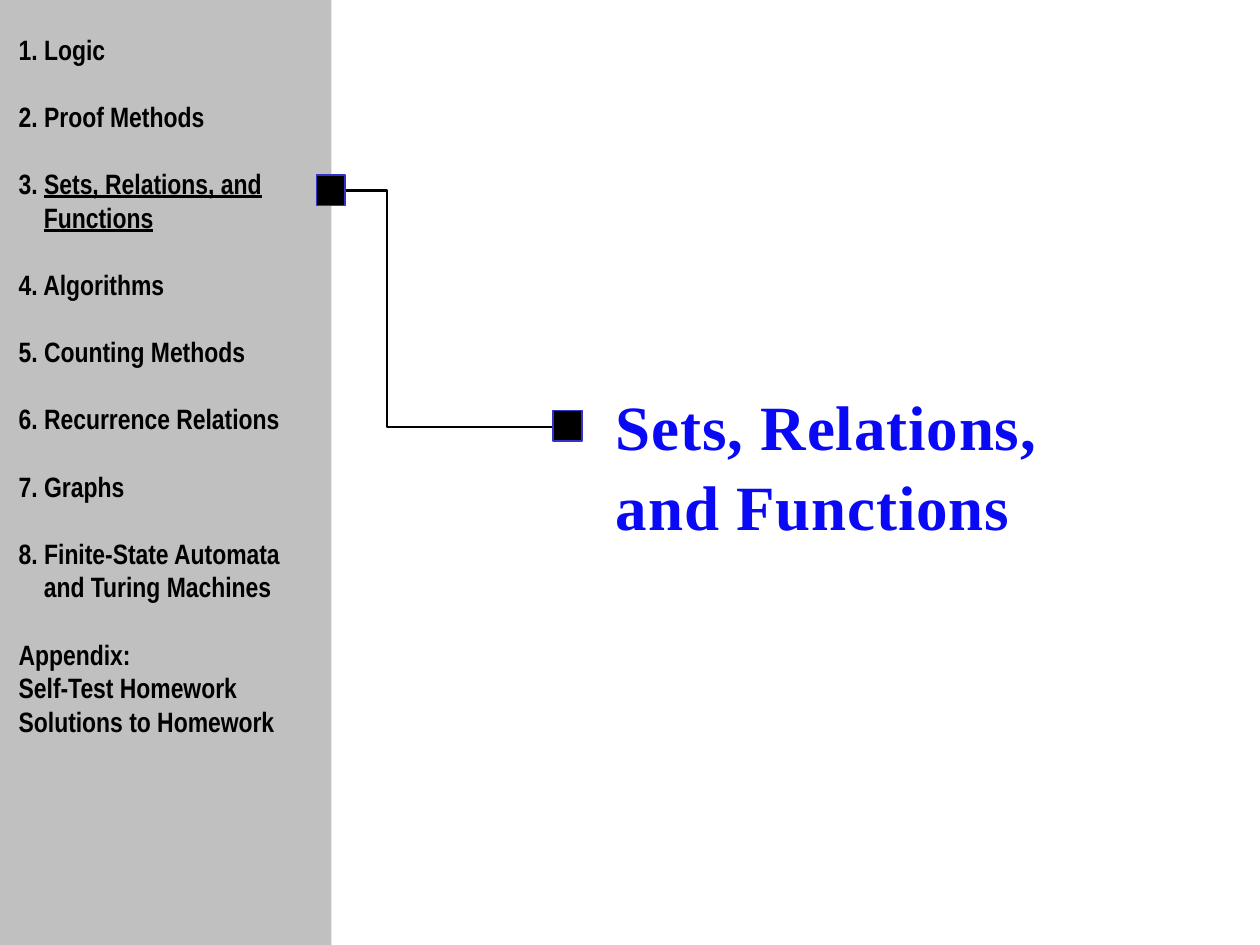
import pptx
import pptx.dml.color
import pptx.enum.shapes
import pptx.util

RGB = pptx.dml.color.RGBColor
BLACK = RGB(0x00, 0x00, 0x00)
GRAY = RGB(0xC0, 0xC0, 0xC0)
BLUE = RGB(0x09, 0x09, 0xF6)
MARKER_EDGE = RGB(0x33, 0x33, 0xCC)

COLUMNS, ROWS = 100, 75
CELL = pptx.util.Inches(0.1)

CHAPTERS = [
    "Logic",
    "Proof Methods",
    "Sets, Relations, and\vFunctions",
    "Algorithms",
    "Counting Methods",
    "Recurrence Relations",
    "Graphs",
    "Finite-State Automata\vand Turing Machines",
]
CURRENT_CHAPTER = 3
APPENDIX = ["Appendix:", "Self-Test Homework", "Solutions to Homework"]
TITLE = ["Sets, Relations,", "and Functions"]


def cells(*counts):
    """Convert grid counts to slide lengths."""
    return [round(count * CELL) for count in counts]


def add_block(page, area, color, edge=None):
    """Add a filled rectangle, with a thin outline if an edge colour is given."""
    block = page.shapes.add_shape(
        pptx.enum.shapes.MSO_SHAPE.RECTANGLE, *cells(*area))
    block.shadow.inherit = False
    block.fill.solid()
    block.fill.fore_color.rgb = color
    if edge is None:
        block.line.fill.background()
    else:
        block.line.color.rgb = edge
        block.line.width = pptx.util.Pt(0.75)


def add_path(page, points):
    """Add an open black line through grid points."""
    start, *rest = [cells(*point) for point in points]
    builder = page.shapes.build_freeform(*start)
    builder.add_line_segments(rest, close=False)
    path_line = builder.convert_to_shape()
    path_line.shadow.inherit = False
    path_line.fill.background()
    path_line.line.color.rgb = BLACK
    path_line.line.width = pptx.util.Pt(1.5)


def add_frame(page, area, wrap):
    """Add a text box and return its text frame."""
    frame = page.shapes.add_textbox(*cells(*area)).text_frame
    frame.word_wrap = wrap
    return frame


def add_para(frame, first, name, size, color):
    """Return the next paragraph of a frame, set in a bold font."""
    para = frame.paragraphs[0] if first else frame.add_paragraph()
    para.font.name = name
    para.font.size = pptx.util.Pt(size)
    para.font.bold = True
    para.font.color.rgb = color
    return para


def add_contents(page, area):
    """Add the chapter list with the current chapter underlined."""
    frame = add_frame(page, area, True)
    gap = pptx.util.Pt(19.2)
    for number, chapter in enumerate(CHAPTERS, 1):
        para = add_para(frame, number == 1, "Arial Narrow", 16, BLACK)
        para.space_before = gap if number > 1 else 0
        properties = para._p.get_or_add_pPr()
        properties.set("marL", str(2 * CELL))
        properties.set("indent", str(-2 * CELL))
        para.add_run().text = f"{number}. "
        for index, line in enumerate(chapter.split("\v")):
            if index:
                para.add_line_break()
            span = para.add_run()
            span.text = line
            if number == CURRENT_CHAPTER:
                span.font.underline = True
    for index, line in enumerate(APPENDIX):
        para = add_para(frame, False, "Arial Narrow", 16, BLACK)
        para.space_before = 0 if index else gap
        para.add_run().text = line


def add_title(page, area):
    """Add the chapter title with slightly widened letter spacing."""
    frame = add_frame(page, area, False)
    for index, line in enumerate(TITLE):
        para = add_para(frame, index == 0, "Times New Roman", 36, BLUE)
        para.line_spacing = 1.05
        span = para.add_run()
        span.text = line
        span.font._element.set("spc", "50")


def main():
    """Build the chapter divider slide."""
    deck = pptx.Presentation()
    deck.slide_width, deck.slide_height = cells(COLUMNS, ROWS)
    page = deck.slides.add_slide(deck.slide_layouts[6])
    add_title(page, (47.9, 30, 37.2, 13.1))
    add_block(page, (0, 0, 26.3, ROWS), GRAY)
    add_path(page, [(25.4, 15.1), (30.7, 15.1), (30.7, 33.9), (43.9, 33.9)])
    for left, top in [(43.9, 32.6), (25.1, 13.9)]:
        add_block(page, (left, top, 2.3, 2.4), BLACK, MARKER_EDGE)
    add_contents(page, (0.5, 2.1, 26.1, 60.3))
    deck.save("out.pptx")


main()
